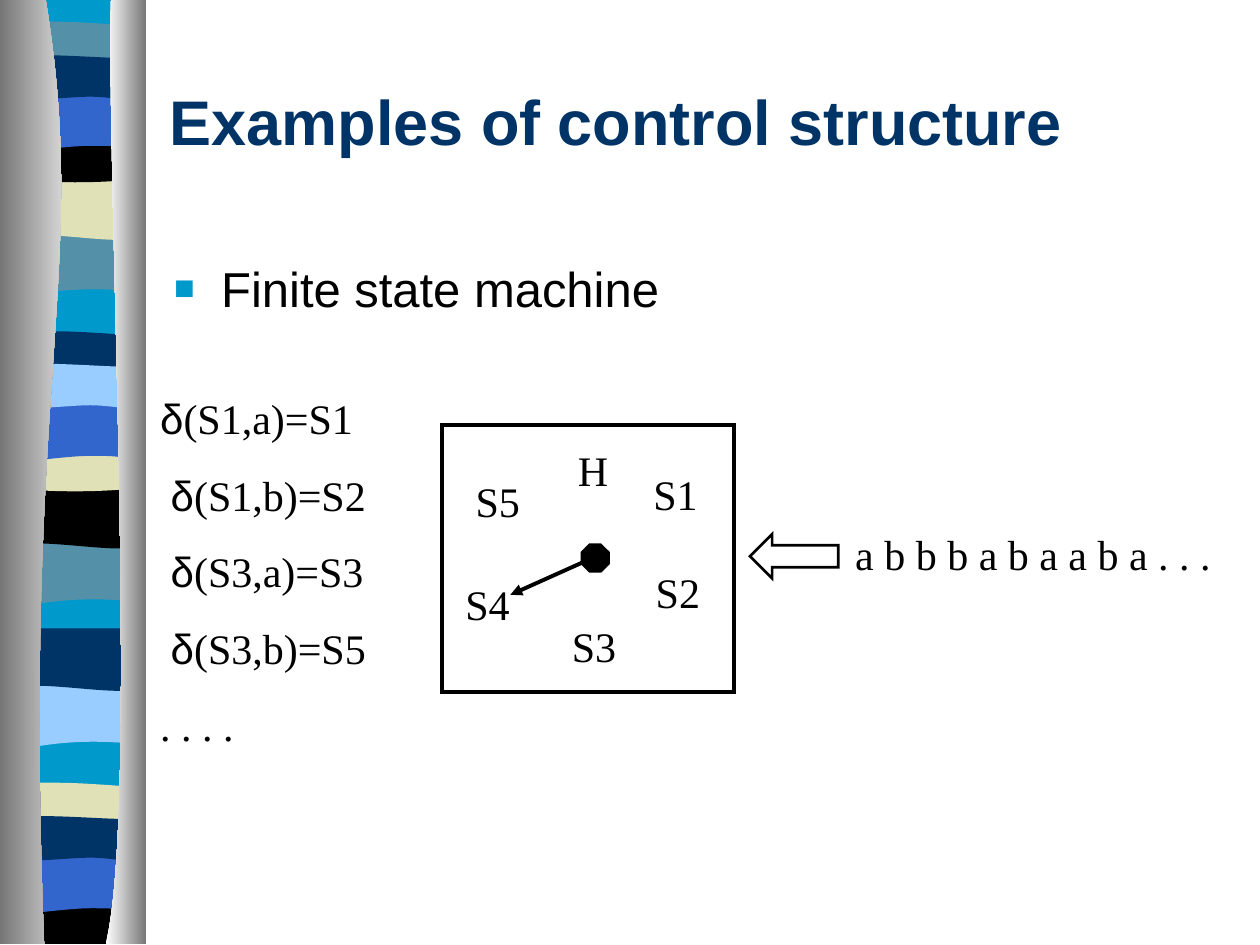
from dataclasses import dataclass

from lxml.etree import SubElement
from pptx import Presentation
from pptx.dml.color import RGBColor
from pptx.enum.shapes import MSO_CONNECTOR as Connector, MSO_SHAPE as Preset
from pptx.enum.text import MSO_ANCHOR as Anchor
from pptx.oxml.ns import qn
from pptx.util import Cm, Pt

COLORS = {
    "cyan": "0099CC", "teal": "5490A8", "sand": "E1E1B7", "black": "000000",
    "blue": "3366CC", "navy": "003366", "sky": "99CCFF", "white": "FFFFFF",
    "gray": "767676",
}
SANS, SERIF = "Arial", "Times New Roman"
Points = list[tuple[float, float]]


@dataclass
class Stencil:
    top: Points
    bottom: Points


@dataclass
class Band:
    stencil: str
    top: float
    color: str


@dataclass
class Label:
    text: str
    left: float
    top: float
    width: float = 1.4
    height: float = 1.27
    size: int = 24
    font: str = SERIF
    color: str = "black"
    bold: bool = False
    wrap: bool = False
    bullet: bool = False
    anchor: Anchor = Anchor.TOP


BAND_LEFT = 0.14
FLAT = [(0, 0), (2.74, 0)]
DIPPED = [(0, 0), (1.68, 0.13), (2.16, 0), (2.74, 0)]
STENCILS = {
    "swell": Stencil(FLAT, [(2.74, 1.19), (0.84, 0.99), (0.46, 1.4), (0, 1.19)]),
    "ripple": Stencil(FLAT, [(2.74, 1.19), (2.29, 1.4), (0.84, 1.04), (0, 1.19)]),
    "hill": Stencil(
        [(0, 0.13), (0.15, 0), (0.58, 0.03), (1.04, 0.03), (1.5, 0.03), (2.39, 0.1), (2.74, 0.13)],
        [(2.74, 0.74), (2.29, 0.84), (0.46, 0.84), (0, 0.74)]),
    "dip": Stencil(DIPPED, [(2.74, 0.83), (2.29, 0.97), (0.46, 0.97), (0, 0.83)]),
    "base": Stencil(DIPPED, [(2.74, 0.95), (0, 0.95)]),
    "arch": Stencil(FLAT, [(2.74, 1.19), (2.31, 1.06), (2.13, 1.06), (1.68, 1.06),
                           (1.22, 1.06), (0.41, 1.19), (0, 1.19)]),
    "flag": Stencil(
        [(0, 0.13), (0.38, 0), (1.85, 0.13), (2.31, 0.13), (2.77, 0.13), (2.64, 0.13), (2.74, 0.13)],
        [(2.74, 0.91), (2.57, 1.04), (2.13, 0.91), (1.68, 0.91), (1.22, 0.91), (0.28, 1.04), (0, 0.91)]),
}
BANDS = [
    Band("swell", 4.7, "teal"), Band("ripple", 3.58, "sand"), Band("hill", 0.41, "teal"),
    Band("dip", 2.74, "black"), Band("arch", 1.88, "blue"), Band("flag", 1.04, "navy"),
    Band("swell", 10.95, "teal"), Band("ripple", 9.8, "black"), Band("hill", 6.65, "navy"),
    Band("dip", 8.97, "sand"), Band("arch", 8.13, "blue"), Band("flag", 7.26, "sky"),
    Band("swell", 13.82, "sky"), Band("ripple", 12.67, "navy"), Band("hill", 15.75, "sand"),
    Band("base", 18.08, "black"), Band("arch", 17.25, "blue"), Band("flag", 16.38, "navy"),
]
LABELS = [
    Label("S1", 12.92, 9.33), Label("S2", 12.97, 11.29), Label("S3", 11.28, 12.39),
    Label("H", 11.4, 8.84, 1.12), Label("S4", 9.13, 11.53), Label("S5", 9.34, 9.46),
]
TRANSITIONS = [("", "(S1,a)=S1"), (" ", "(S1,b)=S2"), (" ", "(S3,a)=S3"), (" ", "(S3,b)=S5")]


def rgb(name: str) -> RGBColor:
    return RGBColor.from_string(COLORS[name])


def draw_outline(slide, sides: list[Points]):
    points = [(Cm(x), Cm(y)) for side in sides for x, y in side]
    builder = slide.shapes.build_freeform(*points[0])
    builder.add_line_segments(points[1:], close=True)
    shape = builder.convert_to_shape()
    shape.shadow.inherit = False
    shape.line.fill.background()
    vertices = list(next(shape._element.iter(qn("a:path"))))
    start = 0
    for side in sides:
        for first in range(start + 1, start + len(side) - 2, 3):
            bend_lines(vertices[first:first + 3])
        start += len(side)
    return shape


def bend_lines(lines: list) -> None:
    bend = lines[0].makeelement(qn("a:cubicBezTo"))
    lines[0].addprevious(bend)
    for line in lines:
        bend.append(line[0])
        line.getparent().remove(line)


def draw_band(slide, band: Band) -> None:
    stencil = STENCILS[band.stencil]
    sides = [[(BAND_LEFT + x, band.top + y) for x, y in side] for side in (stencil.top, stencil.bottom)]
    shape = draw_outline(slide, sides)
    shape.fill.solid()
    shape.fill.fore_color.rgb = rgb(band.color)


def draw_column(slide, edge: Points, outer: float, colors: tuple[str, str]) -> None:
    shape = draw_outline(slide, [edge, [(outer, 19.03), (outer, -0.02)]])
    shape.fill.gradient()
    shape.fill.gradient_angle = 0
    for stop, color in zip(shape.fill.gradient_stops, colors):
        stop.color.rgb = rgb(color)


def draw_preset(slide, preset: Preset, box: tuple, fill: str, line_width: float) -> None:
    shape = slide.shapes.add_shape(preset, *map(Cm, box))
    shape.shadow.inherit = False
    shape.fill.solid()
    shape.fill.fore_color.rgb = rgb(fill)
    shape.line.color.rgb = rgb("black")
    shape.line.width = Pt(line_width)
    SubElement(shape.line._get_or_add_ln(), qn("a:miter")).set("lim", "800000")


def add_bullet(paragraph) -> None:
    properties = paragraph._p.get_or_add_pPr()
    properties.set("marL", str(Cm(0.95)))
    properties.set("indent", str(Cm(-0.95)))
    bullet_color = SubElement(properties, qn("a:buClr"))
    SubElement(bullet_color, qn("a:srgbClr")).set("val", COLORS["cyan"])
    SubElement(properties, qn("a:buSzPct")).set("val", "70000")
    SubElement(properties, qn("a:buFont")).set("typeface", SANS)
    SubElement(properties, qn("a:buChar")).set("char", "■")


def style(font, size: int, color: str, name: str, bold: bool = False) -> None:
    font.size = Pt(size)
    font.color.rgb = rgb(color)
    font.name = name
    font.bold = bold


def draw_label(slide, label: Label):
    box = slide.shapes.add_textbox(*map(Cm, (label.left, label.top, label.width, label.height)))
    frame = box.text_frame
    frame.word_wrap = label.wrap
    frame.vertical_anchor = label.anchor
    paragraph = frame.paragraphs[0]
    paragraph.text = label.text
    if label.bullet:
        add_bullet(paragraph)
    style(paragraph.font, label.size, label.color, label.font, label.bold)
    return frame


def draw_transitions(slide) -> None:
    frame = draw_label(slide, Label("", 2.98, 7.79, 5.46, 7.47, wrap=True))
    rows = [[(lead, SERIF), ("δ", SANS), (rule, SERIF)] for lead, rule in TRANSITIONS]
    for index, row in enumerate(rows + [[(". . . .", SERIF)]]):
        paragraph = frame.add_paragraph() if index else frame.paragraphs[0]
        paragraph.space_before = Pt(15 if index else 0)
        style(paragraph.font, 24, "black", SERIF)
        for text, font_name in row:
            if text:
                run = paragraph.add_run()
                run.text = text
                run.font.name = font_name


def draw_pointer(slide) -> None:
    pointer = slide.shapes.add_connector(Connector.STRAIGHT, *map(Cm, (11.94, 11.25, 10.29, 11.99)))
    pointer.line.color.rgb = rgb("black")
    pointer.line.width = Pt(2.25)
    SubElement(pointer.line._get_or_add_ln(), qn("a:tailEnd")).set("type", "triangle")
    SubElement(pointer._element.spPr, qn("a:effectLst"))


def main() -> None:
    presentation = Presentation()
    presentation.slide_width, presentation.slide_height = Cm(25.4), Cm(19.05)
    slide = presentation.slides.add_slide(presentation.slide_layouts[6])
    backdrop = draw_outline(slide, [[(0.14, -0.02), (2.9, -0.02)], [(2.9, 18.97), (0.14, 18.97)]])
    backdrop.fill.solid()
    backdrop.fill.fore_color.rgb = rgb("cyan")
    for band in BANDS:
        draw_band(slide, band)
    draw_column(slide, [(0.92, -0.02), (1.82, 5.49), (0.44, 7.52), (0.89, 19.03)], 0, ("gray", "white"))
    draw_column(slide, [(2.24, -0.02), (2.13, 3.18), (2.82, 16.41), (2.13, 19.03)], 2.95, ("white", "gray"))
    draw_label(slide, Label("Examples of control structure", 3.17, 0.84, 21.59, 3.18, 36, SANS,
                            "navy", True, True, anchor=Anchor.MIDDLE))
    draw_label(slide, Label("Finite state machine", 3.26, 5.08, 21.59, 2.34, 28, SANS,
                            wrap=True, bullet=True))
    draw_preset(slide, Preset.RECTANGLE, (8.92, 8.57, 5.87, 5.38), "white", 2.25)
    draw_preset(slide, Preset.OCTAGON, (11.72, 10.97, 0.56, 0.56), "black", 0.75)
    for label in LABELS:
        draw_label(slide, label)
    draw_pointer(slide)
    draw_transitions(slide)
    draw_label(slide, Label("a b b b a b a a b a . . .", 16.99, 10.53, 8.41, wrap=True))
    draw_preset(slide, Preset.LEFT_ARROW, (15.12, 10.77, 1.78, 0.89), "white", 1.5)
    presentation.save("out.pptx")


if __name__ == "__main__":
    main()
